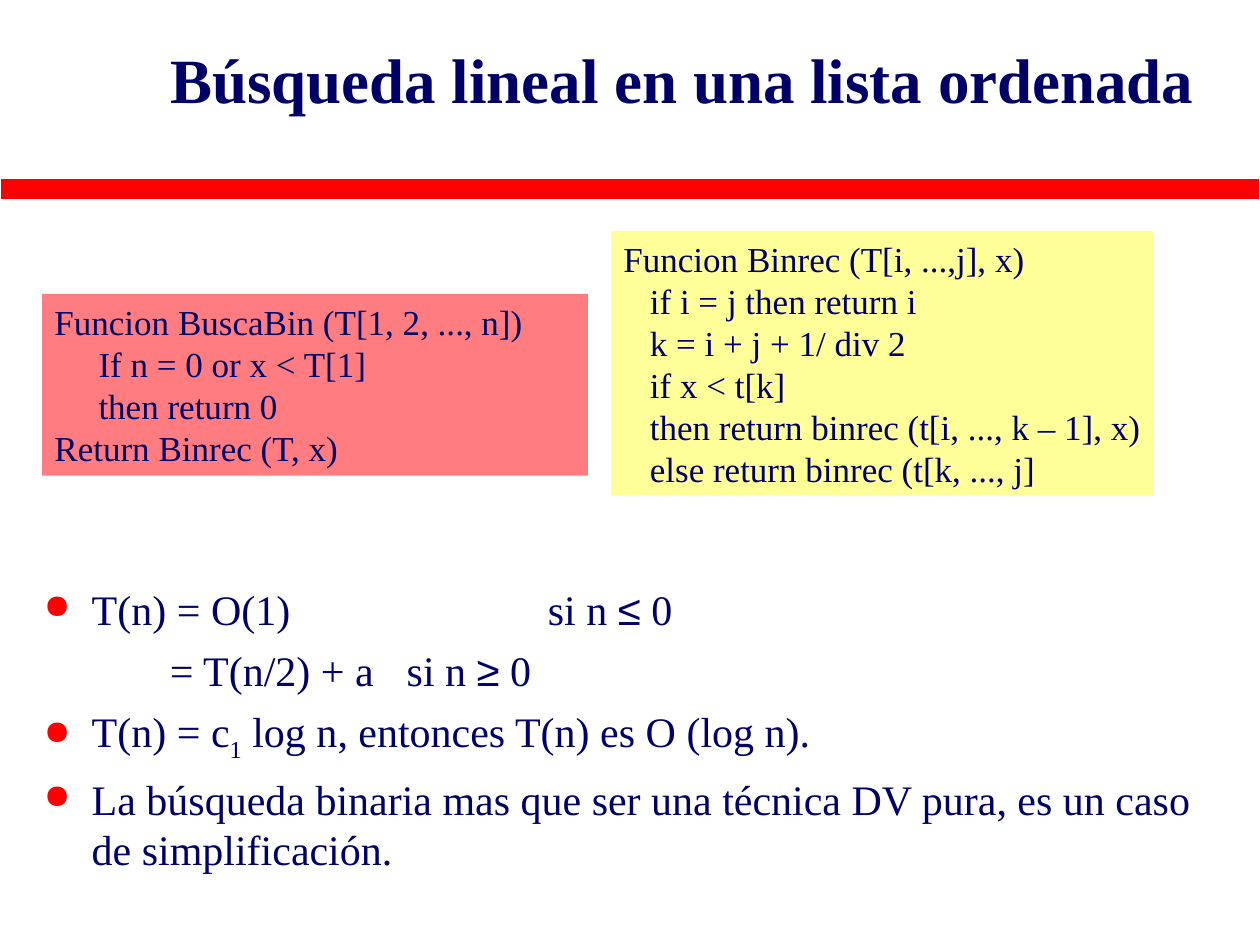
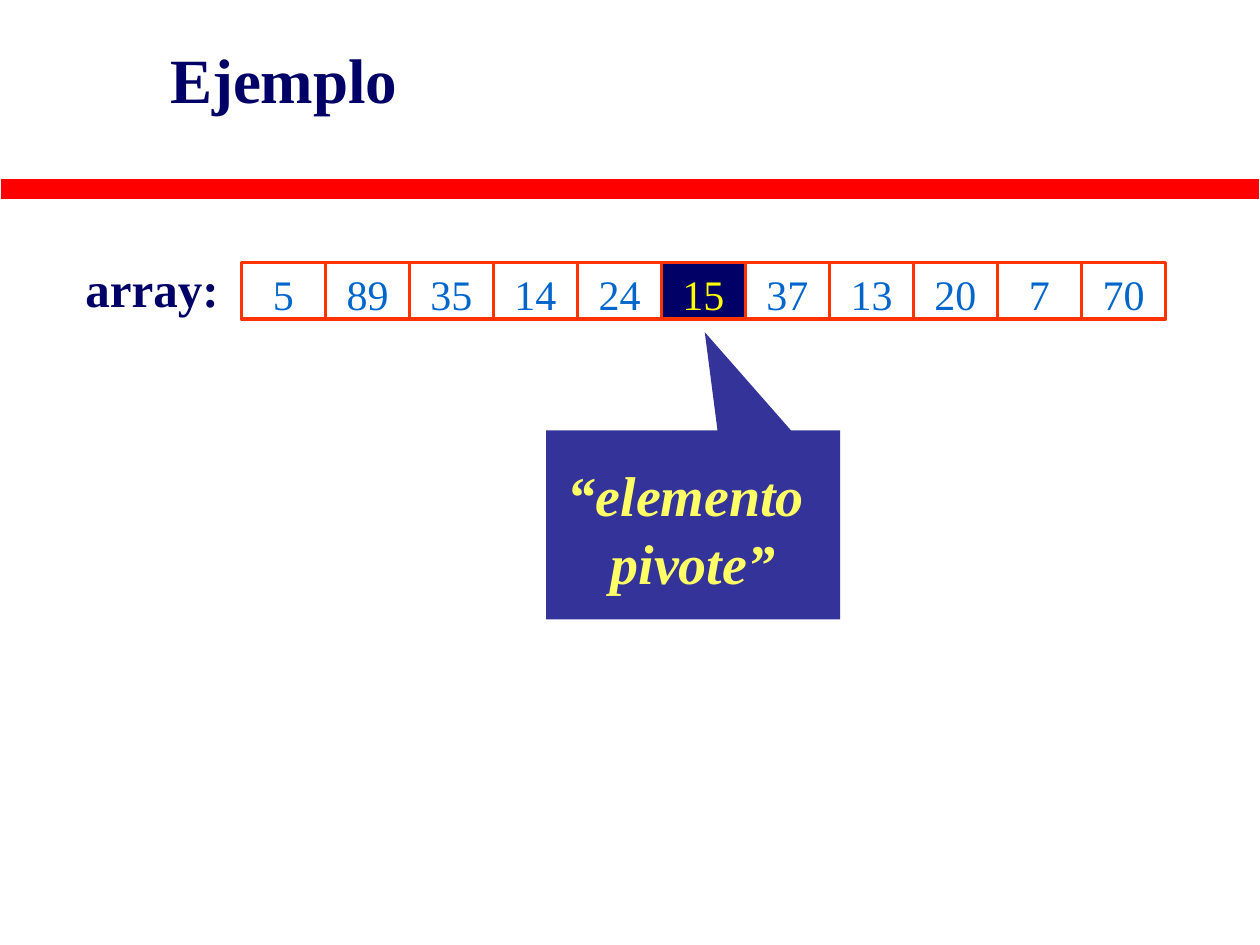
from lxml.etree import SubElement
from pptx import Presentation
from pptx.dml.color import RGBColor
from pptx.enum.shapes import MSO_SHAPE
from pptx.enum.text import MSO_ANCHOR, PP_ALIGN
from pptx.oxml.ns import qn
from pptx.util import Inches, Pt

COLORS = {
    "navy": "000066", "red": "FF0000", "white": "FFFFFF",
    "salmon": "FF7C80", "cream": "FFFF99", "orange": "FF3300",
    "blue": "0066CC", "indigo": "333399", "lemon": "FFFF66", "yellow": "FFFF00",
}
SERIF = "Times New Roman"

# The slide is a grid of 120 columns by 90 rows
deck = Presentation()
deck.slide_width, deck.slide_height = Inches(10), Inches(7.5)
UNIT = deck.slide_width / 120


def add_box(page, kind, place, fill=None, line=None, weight=1):
    """Add a preset shape; place is left, top, width, height in grid units."""
    box = page.shapes.add_shape(kind, *(round(n * UNIT) for n in place))
    box.shadow.inherit = False
    if fill:
        box.fill.solid()
        box.fill.fore_color.rgb = RGBColor.from_string(COLORS[fill])
    else:
        box.fill.background()
    if line:
        box.line.color.rgb = RGBColor.from_string(COLORS[line])
        box.line.width = Pt(weight)
    else:
        box.line.fill.background()
    box.text_frame.vertical_anchor = MSO_ANCHOR.TOP
    return box


def style(para, size, color="navy", bold=False, align=PP_ALIGN.LEFT):
    para.alignment = align
    para.font.name = SERIF
    para.font.size = Pt(size)
    para.font.bold = bold
    para.font.color.rgb = RGBColor.from_string(COLORS[color])


# Shared title and red band
pages = []
for heading in ("Búsqueda lineal en una lista ordenada", "Ejemplo"):
    page = deck.slides.add_slide(deck.slide_layouts[5])
    add_box(page, MSO_SHAPE.RECTANGLE, (0, 17, 120, 2), "red", "white")
    title = page.shapes.title
    title.left, title.top, title.width, title.height = (
        round(n * UNIT) for n in (15, 0, 102, 15))
    title.text_frame.text = heading
    title.text_frame.vertical_anchor = MSO_ANCHOR.MIDDLE
    style(title.text_frame.paragraphs[0], 36, bold=True)
    pages.append(page)
search_page, example_page = pages

# Code listings: each line has its indent in inches
listings = [
    ((4, 28, 52, 17.3), "salmon", True, [
        (0, "Funcion BuscaBin (T[1, 2, ..., n])"),
        (0.35, "If n = 0 or x < T[1]"),
        (0.35, "then return 0"),
        (0, "Return Binrec (T, x)")]),
    ((58.2, 22, 51.6, 25.2), "cream", False, [
        (0, "Funcion Binrec (T[i, ...,j], x)"),
        (0.21, "if i = j then return i"),
        (0.21, "k = i + j + 1/ div 2"),
        (0.21, "if x < t[k]"),
        (0.21, "then return binrec (t[i, ..., k – 1], x)"),
        (0.21, "else return binrec (t[k, ..., j]")]),
]
for place, fill, wrap, lines in listings:
    frame = add_box(search_page, MSO_SHAPE.RECTANGLE, place, fill).text_frame
    frame.word_wrap = wrap
    frame.text = "\n".join(text for _, text in lines)
    for para, (indent, _) in zip(frame.paragraphs, lines):
        para._p.get_or_add_pPr().set("marL", str(Inches(indent)))
        style(para, 20)

# Cost analysis: bulleted or not, then the runs of each paragraph
analysis = [
    (True, ["T(n) = O(1)\tsi n ", "≤", " 0"]),
    (False, ["= T(n/2) + a\tsi n ", "≥", " 0"]),
    (True, ["T(n) = c", "1", " log n, entonces T(n) es O (log n)."]),
    (True, ["La búsqueda binaria mas que ser una técnica DV pura, "
            "es un caso de simplificación."]),
]
frame = search_page.shapes.add_textbox(
    *(round(n * UNIT) for n in (3, 55, 115, 30))).text_frame
frame.word_wrap = True
for index, (bulleted, texts) in enumerate(analysis):
    para = frame.paragraphs[0] if index == 0 else frame.add_paragraph()
    para.space_before = Pt(6)
    props = para._p.get_or_add_pPr()
    props.set("marL", str(Inches(0.38)))
    props.set("indent", str(Inches(-0.38 if bulleted else 0.62)))
    if bulleted:
        SubElement(SubElement(props, qn("a:buClr")), qn("a:srgbClr"), val=COLORS["red"])
        SubElement(props, qn("a:buSzPct"), val="80000")
        SubElement(props, qn("a:buChar"), char="●")
    else:
        SubElement(props, qn("a:buNone"))
    stops = SubElement(props, qn("a:tabLst"))
    SubElement(stops, qn("a:tab"), pos=str(Inches(4)), algn="l")
    style(para, 24)
    for text in texts:
        span = para.add_run()
        span.text = text
        if text in "≤≥":
            span.font.name = "Arial"
        elif text == "1":
            span.font._element.set("baseline", "-25000")

# Array label
label = example_page.shapes.add_textbox(
    *(round(n * UNIT) for n in (2, 24, 20, 6.8))).text_frame
label.word_wrap = True
label.text = "array:"
style(label.paragraphs[0], 28, bold=True, align=PP_ALIGN.RIGHT)
label.paragraphs[0].space_before = Pt(17.5)

# Array cells, with the pivot highlighted
PIVOT = 15
for column, value in enumerate((5, 89, 35, 14, 24, PIVOT, 37, 13, 20, 7, 70)):
    fill, ink = ("navy", "yellow") if value == PIVOT else (None, "blue")
    cell = add_box(example_page, MSO_SHAPE.RECTANGLE,
                   (23 + 8 * column, 25, 8, 5.4), fill, "orange", 2)
    cell.text_frame.margin_bottom = 0
    cell.text_frame.text = str(value)
    style(cell.text_frame.paragraphs[0], 24, ink, align=PP_ALIGN.CENTER)
    cell.text_frame.paragraphs[0].space_before = Pt(15)

# Callout pointing at the pivot
callout = add_box(example_page, MSO_SHAPE.RECTANGULAR_CALLOUT, (52, 41, 28, 18), "indigo")
callout.adjustments[0], callout.adjustments[1] = 0.04, -1.02
frame = callout.text_frame
frame.vertical_anchor = MSO_ANCHOR.MIDDLE
frame.margin_bottom = 0
frame.word_wrap = False
frame.text = "“elemento \npivote”"
for para in frame.paragraphs:
    style(para, 32, "lemon", bold=True, align=PP_ALIGN.CENTER)
    para.font.italic = True

deck.save("out.pptx")
